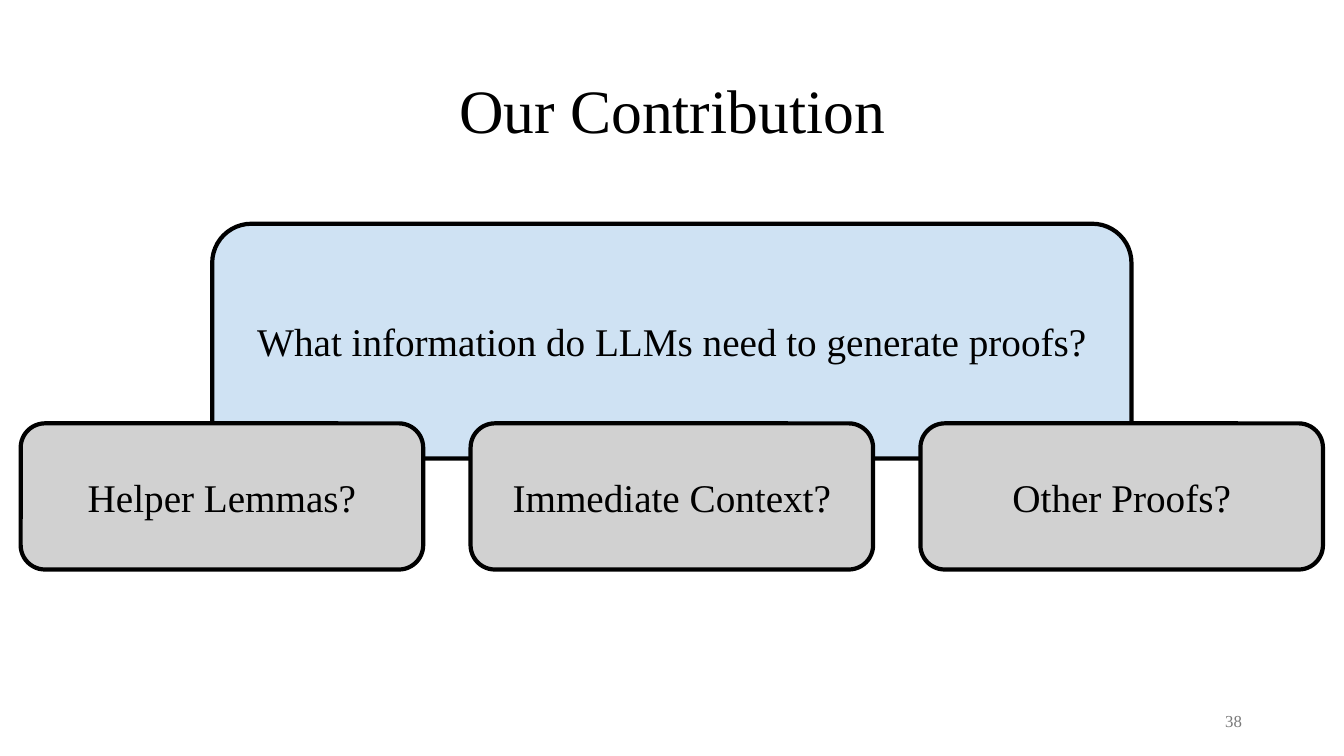
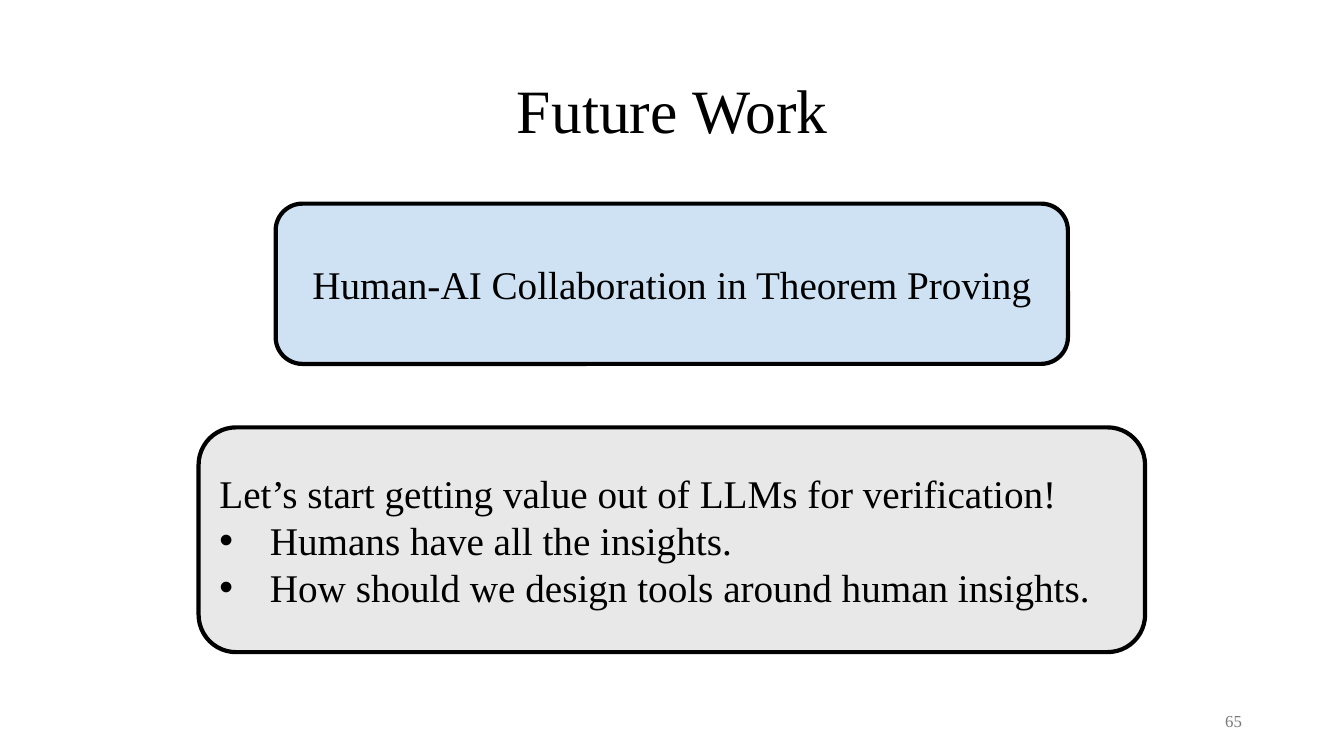
from dataclasses import dataclass

from lxml.etree import SubElement
from pptx import Presentation
from pptx.dml.color import RGBColor
from pptx.enum.shapes import MSO_SHAPE as Shape
from pptx.enum.text import MSO_ANCHOR as Anchor, PP_ALIGN as Align
from pptx.oxml.ns import qn
from pptx.util import Emu, Inches, Pt


@dataclass(frozen=True)
class Theme:
    font: str = "Times New Roman"
    ink: str = "000000"
    muted: str = "797979"
    blue: str = "CFE2F3"
    gray: str = "D1D1D1"
    pale: str = "E8E8E8"
    title: int = 44
    body: int = 28
    number: int = 12
    line: int = 3
    inset: float = 0.1
    hang: float = 0.5


T = Theme()
W, H = 13.33, 7.5
TITLE_BOX = (0.92, 0.4, 11.5, 1.45)
NUMBER_BOX = (9.42, 6.95, 3, 0.4)


def centered(top, width, height):
    return (W - width) / 2, top, width, height


def add_bullet(p):
    pPr = p._p.get_or_add_pPr()
    pPr.set("marL", str(Inches(T.hang)))
    pPr.set("indent", str(-Inches(T.hang)))
    SubElement(pPr, qn("a:buFont")).set("typeface", "Arial")
    SubElement(pPr, qn("a:buChar")).set("char", "•")


def write(tf, text, size=T.body, color=T.ink, align=Align.CENTER,
          spacing=None, bullets=()):
    tf.word_wrap = True
    tf.vertical_anchor = Anchor.MIDDLE
    for i, line in enumerate((text, *bullets)):
        p = tf.add_paragraph() if i else tf.paragraphs[0]
        p.alignment = align
        if spacing:
            p.line_spacing = spacing
        if i:
            add_bullet(p)
        r = p.add_run()
        r.text = line
        r.font.name = T.font
        r.font.size = Pt(size)
        r.font.color.rgb = RGBColor.from_string(color)


def add_card(s, box, text, fill, **fmt):
    sp = s.shapes.add_shape(Shape.ROUNDED_RECTANGLE, *map(Inches, box))
    sp.shadow.inherit = False
    sp.fill.solid()
    sp.fill.fore_color.rgb = RGBColor.from_string(fill)
    sp.line.color.rgb = RGBColor.from_string(T.ink)
    sp.line.width = Pt(T.line)
    tf = sp.text_frame
    tf.margin_left = tf.margin_right = Inches(T.inset)
    tf.margin_top = tf.margin_bottom = Inches(T.inset)
    write(tf, text, **fmt)


def add_card_row(s, box, texts, gap, fill):
    left, top, width, height = box
    w = (width - gap * (len(texts) - 1)) / len(texts)
    for i, text in enumerate(texts):
        add_card(s, (left + i * (w + gap), top, w, height), text, fill)


def add_slide(prs, title, number):
    s = prs.slides.add_slide(prs.slide_layouts.get_by_name("Title Only"))
    sp = s.shapes.title
    sp.left, sp.top, sp.width, sp.height = map(Inches, TITLE_BOX)
    write(sp.text_frame, title, size=T.title, spacing=0.9)
    sp = s.shapes.add_textbox(*map(Inches, NUMBER_BOX))
    write(sp.text_frame, str(number), size=T.number, color=T.muted,
          align=Align.RIGHT)
    return s


def contribution_slide(prs):
    s = add_slide(prs, "Our Contribution", 38)
    add_card(s, centered(2.22, 9.12, 2.33),
             "What information do LLMs need to generate proofs?", T.blue)
    add_card_row(s, centered(4.2, 12.92, 1.45),
                 ("Helper Lemmas?", "Immediate Context?", "Other Proofs?"),
                 gap=0.47, fill=T.gray)


def future_slide(prs):
    s = add_slide(prs, "Future Work", 65)
    add_card(s, centered(2.02, 7.86, 1.59),
             "Human-AI Collaboration in Theorem Proving", T.blue)
    add_card(s, centered(4.24, 9.39, 2.23),
             "Let’s start getting value out of LLMs for verification!", T.pale,
             align=Align.LEFT,
             bullets=("Humans have all the insights.",
                      "How should we design tools around human insights."))


def main():
    prs = Presentation()
    prs.slide_width, prs.slide_height = Emu(12192000), Inches(H)
    contribution_slide(prs)
    future_slide(prs)
    prs.save("out.pptx")


if __name__ == "__main__":
    main()
